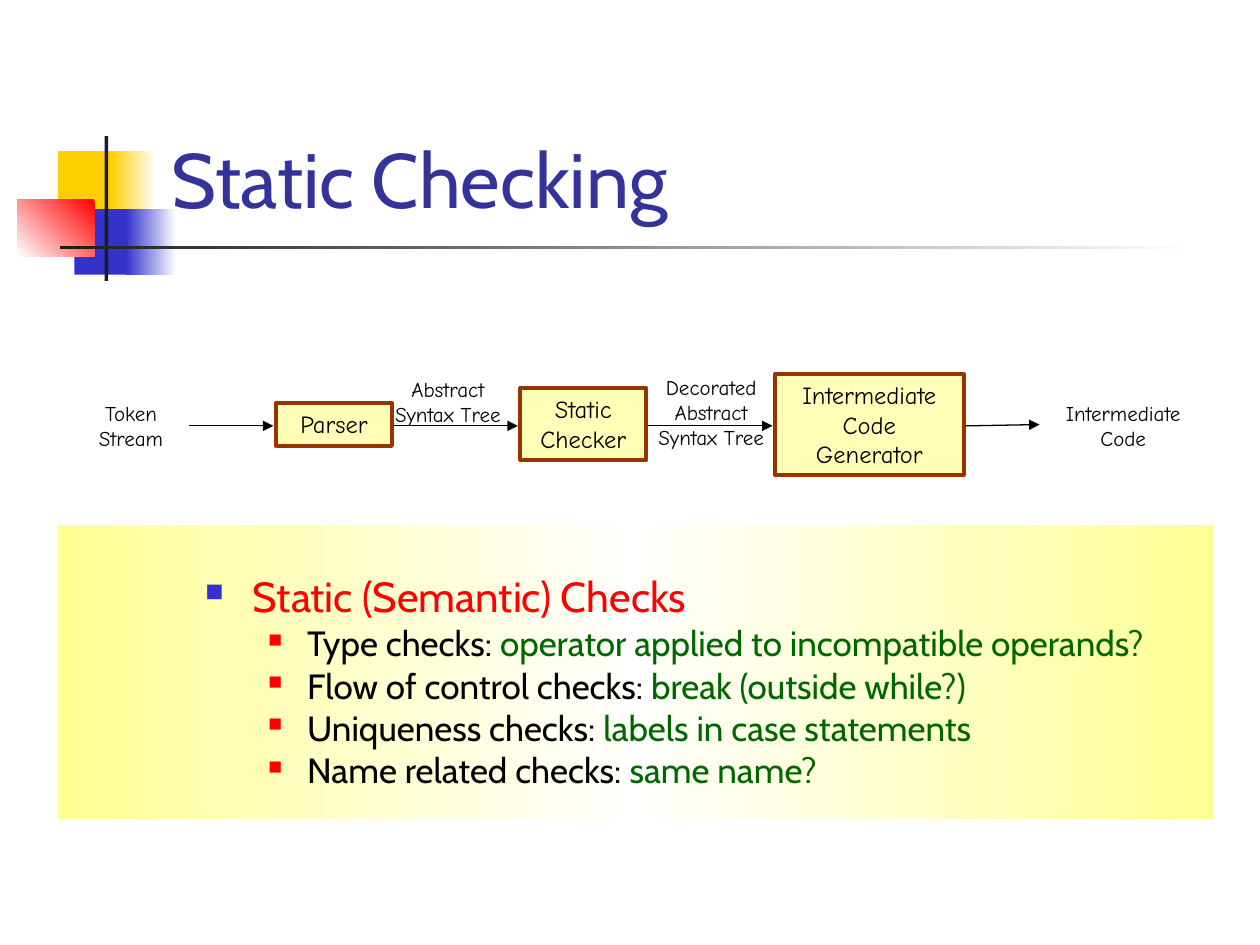
from lxml import etree
from pptx import Presentation
from pptx.dml.color import RGBColor
from pptx.enum.shapes import MSO_CONNECTOR, MSO_SHAPE
from pptx.enum.text import MSO_ANCHOR, MSO_AUTO_SIZE, PP_ALIGN
from pptx.oxml import parse_xml
from pptx.oxml.ns import nsdecls, qn
from pptx.util import Inches, Pt

RECTANGLE = MSO_SHAPE.RECTANGLE
STRAIGHT, ELBOW = MSO_CONNECTOR.STRAIGHT, MSO_CONNECTOR.ELBOW
TOP, BOTTOM = MSO_ANCHOR.TOP, MSO_ANCHOR.BOTTOM
LEFT, CENTER = PP_ALIGN.LEFT, PP_ALIGN.CENTER
GROW, FIXED = MSO_AUTO_SIZE.SHAPE_TO_FIT_TEXT, MSO_AUTO_SIZE.NONE

COLUMNS, ROWS = 100, 75
COLORS = {
    "white": "FFFFFF", "black": "000000", "ink": "1C1C1C", "gold": "FFCF01",
    "blue": "3333CC", "red": "FF0000", "title": "333399", "green": "006600",
    "panel": "FFFF4D", "box": "FFFF99", "border": "993300",
}
BODY, DIAGRAM = "Cabin", "Comic Neue"


class SlideBuilder:
    """Places elements on a grid of 100 columns by 75 rows."""

    def __init__(self, deck):
        self.slide = deck.slides.add_slide(deck.slide_layouts[6])
        self.column = deck.slide_width / COLUMNS
        self.row = deck.slide_height / ROWS

    def place(self, left, top, width, height):
        return [round(left * self.column), round(top * self.row),
                round(width * self.column), round(height * self.row)]

    def rectangle(self, area, color):
        shape = self.slide.shapes.add_shape(RECTANGLE, *self.place(*area))
        shape.shadow.inherit = False
        shape.fill.solid()
        shape.fill.fore_color.rgb = RGBColor.from_string(COLORS[color])
        shape.line.fill.background()
        return shape

    def gradient(self, area, colors, angle=180, opacity=100):
        shape = self.rectangle(area, colors[0])
        step = 100000 // (len(colors) - 1)
        stops = "".join(
            f'<a:gs pos="{index * step}"><a:srgbClr val="{COLORS[color]}">'
            f'<a:alpha val="{opacity * 1000}"/></a:srgbClr></a:gs>'
            for index, color in enumerate(colors))
        solid = shape._element.spPr.find(qn("a:solidFill"))
        solid.getparent().replace(solid, parse_xml(
            f'<a:gradFill {nsdecls("a")} rotWithShape="1"><a:gsLst>{stops}</a:gsLst>'
            f'<a:lin ang="{angle * 60000}" scaled="0"/></a:gradFill>'))

    def stage(self, area, text):
        """A bordered, partly transparent step of the pipeline."""
        shape = self.rectangle(area, "box")
        color = shape._element.spPr.find(qn("a:solidFill"))[0]
        etree.SubElement(color, qn("a:alpha"), val="70000")
        shape.line.color.rgb = RGBColor.from_string(COLORS["border"])
        shape.line.width = Pt(2.25)
        self.fill_text(shape, [[(text, "black")]], [14], DIAGRAM, alignment=CENTER)

    def text(self, area, lines, sizes, font, **style):
        box = self.slide.shapes.add_textbox(*self.place(*area))
        return self.fill_text(box, lines, sizes, font, **style)

    def fill_text(self, shape, lines, sizes, font, alignment=LEFT, anchor=TOP,
                  size_rule=FIXED):
        frame = shape.text_frame
        settings = {"word_wrap": True, "auto_size": size_rule, "vertical_anchor": anchor}
        for name, value in settings.items():
            setattr(frame, name, value)
        for index, spans in enumerate(lines):
            para = frame.paragraphs[0] if index == 0 else frame.add_paragraph()
            para.alignment = alignment
            for text, color in spans:
                span = para.add_run()
                span.text = text
                for name, value in {"size": Pt(sizes[index]), "name": font}.items():
                    setattr(span.font, name, value)
                span.font.color.rgb = RGBColor.from_string(COLORS[color])
        return frame

    def label(self, area, text):
        self.text(area, [[(text, "black")]], [12], DIAGRAM,
                  alignment=CENTER, size_rule=GROW)

    def bullet(self, para, level, margin, hanging, color, percent):
        para.level = level
        para.line_spacing = 0.8
        properties = para._p.get_or_add_pPr()
        properties.set("marL", str(Inches(margin)))
        properties.set("indent", str(-Inches(hanging)))
        for markup in (
            f'<a:buClr {nsdecls("a")}><a:srgbClr val="{COLORS[color]}"/></a:buClr>',
            f'<a:buSzPct {nsdecls("a")} val="{percent * 1000}"/>',
            f'<a:buChar {nsdecls("a")} char="■"/>',
        ):
            properties.append(parse_xml(markup))

    def arrow(self, kind, start, end):
        ends = self.place(*start, *end)
        line = self.slide.shapes.add_connector(kind, *ends)
        line.line.color.rgb = RGBColor.from_string(COLORS["black"])
        line.line.width = Pt(0.75)
        outline = line._element.spPr.find(qn("a:ln"))
        etree.SubElement(outline, qn("a:tailEnd"), type="triangle")
        etree.SubElement(line._element.spPr, qn("a:effectLst"))


def main():
    deck = Presentation()
    deck.slide_width, deck.slide_height = Inches(10), Inches(7.5)
    page = SlideBuilder(deck)

    # Corner ornament and title rule
    page.rectangle((4.6, 12, 4.8, 5.2), "gold")
    page.gradient((8.8, 12, 3.6, 5.2), ["white", "gold"])
    page.rectangle((5.9, 16.6, 4.6, 5.2), "blue")
    page.gradient((10, 16.6, 4, 5.2), ["white", "blue"])
    page.gradient((1.4, 15.8, 6.1, 4.6), ["red", "white"], angle=135)
    page.rectangle((8.3, 10.8, 0.3, 11.5), "ink")
    page.gradient((4.8, 19.5, 90, 0.3), ["white", "ink"])

    # Panel behind the list
    page.gradient((4.6, 41.7, 91.7, 23.3), ["panel", "white", "panel"], opacity=60)

    # Title
    page.text((12.6, 2.3, 85.2, 16), [[("Static Checking", "title")]], [44], BODY,
              anchor=BOTTOM)

    # List of checks
    checks = [
        ("Type checks: ", "operator applied to incompatible operands?"),
        ("Flow of control checks: ", "break (outside while?)"),
        ("Uniqueness checks: ", "labels in case statements"),
        ("Name related checks: ", "same name?"),
    ]
    lines = [[("Static (Semantic) Checks", "red")]]
    lines += [[(check, "black"), (example, "green")] for check, example in checks]
    frame = page.text((15.3, 45.6, 80.3, 20.8), lines, [24] + [20] * len(checks), BODY)
    heading, *items = frame.paragraphs
    page.bullet(heading, 0, 0.38, 0.38, "blue", 60)
    for item in items:
        item.space_before = Pt(5)
        page.bullet(item, 1, 0.81, 0.31, "red", 55)

    # Pipeline stages
    for area, text in [
        ((21.9, 32, 9.2, 3.4), "Parser"),
        ((41.3, 30.8, 10, 5.7), "Static Checker"),
        ((61.5, 29.7, 15, 8), "Intermediate Code Generator"),
    ]:
        page.stage(area, text)

    # Data passed between the stages
    for area, text in [
        ((5.8, 31.3, 9.2, 5), "Token Stream"),
        ((29.7, 29.4, 11.7, 5), "Abstract Syntax Tree"),
        ((50.6, 29.2, 11.7, 7), "Decorated Abstract Syntax Tree"),
        ((82.5, 31.3, 13.3, 5), "Intermediate Code"),
    ]:
        page.label(area, text)

    # Flow arrows
    middle = 33.8
    for start, end in [(15, 21.7), (31.2, 41.1), (51.4, 61.3)]:
        page.arrow(ELBOW, (start, middle), (end, middle))
    page.arrow(STRAIGHT, (76.6, middle), (82.5, 33.7))

    deck.save("out.pptx")


if __name__ == "__main__":
    main()
